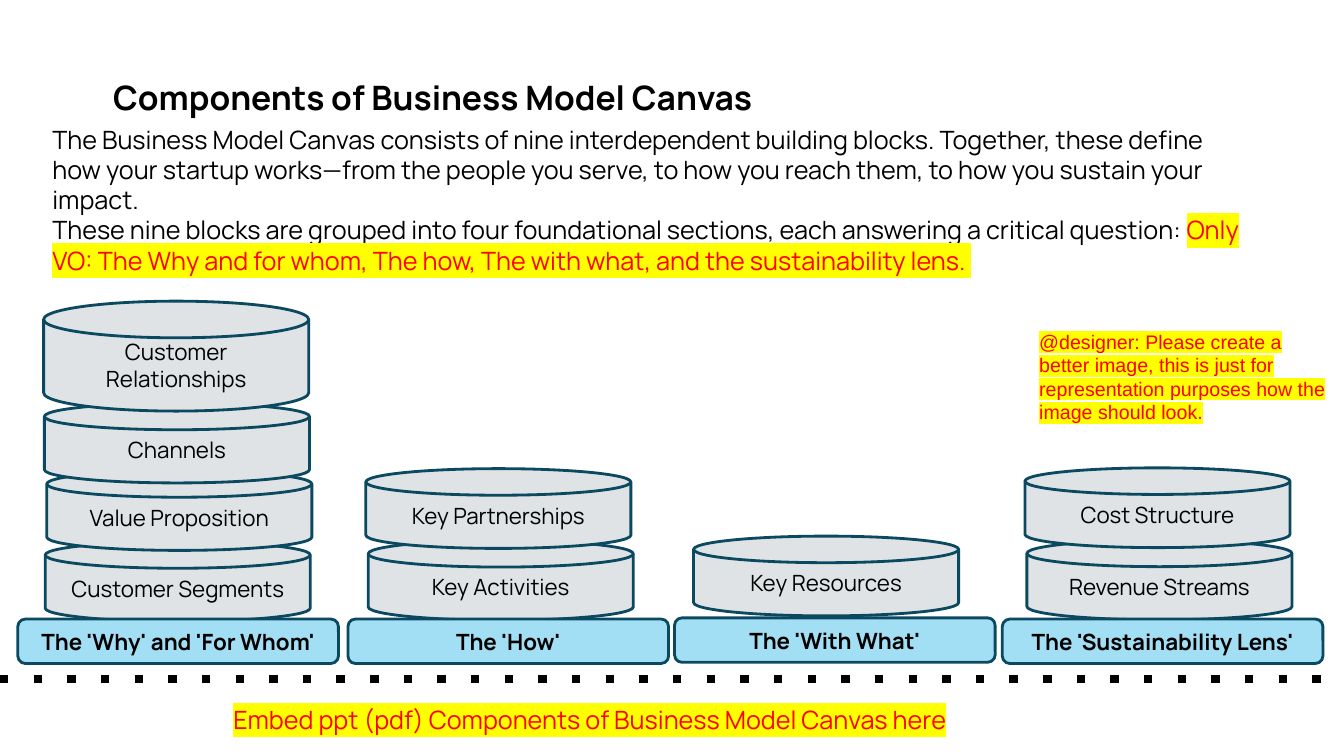
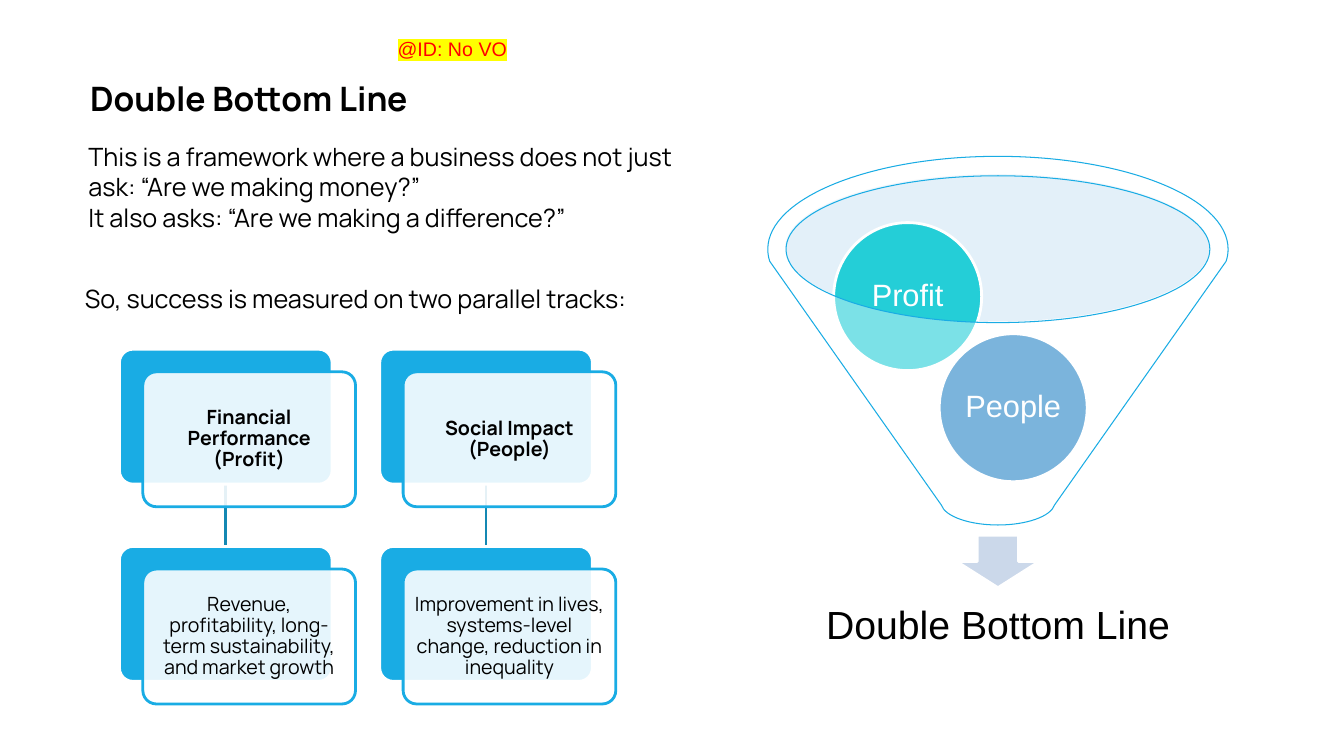
import math
from dataclasses import dataclass
from typing import Any, Optional

import lxml.etree
import pptx
import pptx.dml.color
import pptx.enum.shapes
import pptx.enum.text
import pptx.oxml.ns
import pptx.util

Cm = pptx.util.Cm
Pt = pptx.util.Pt
RGBColor = pptx.dml.color.RGBColor
Shapes = pptx.enum.shapes.MSO_SHAPE
Align = pptx.enum.text.PP_ALIGN
Anchor = pptx.enum.text.MSO_ANCHOR
qn = pptx.oxml.ns.qn

BLACK = RGBColor(0x00, 0x00, 0x00)
WHITE = RGBColor(0xFF, 0xFF, 0xFF)
NOTE_RED = RGBColor(0xFF, 0x00, 0x00)
NOTE_YELLOW = RGBColor(0xFF, 0xFF, 0x00)
DISK_GRAY = RGBColor(0xDF, 0xE3, 0xE5)
BASE_BLUE = RGBColor(0xA2, 0xDE, 0xF4)
OUTLINE_NAVY = RGBColor(0x0B, 0x49, 0x60)
CARD_BLUE = RGBColor(0x19, 0xAC, 0xE4)
LINK_BLUE = RGBColor(0x14, 0x88, 0xB3)
MOUTH_BLUE = RGBColor(0xBA, 0xDB, 0xF2)
ARROW_GRAY = RGBColor(0xCB, 0xD8, 0xEA)
PEOPLE_BLUE = RGBColor(0x23, 0x83, 0xC6)
PROFIT_TEAL = RGBColor(0x24, 0xCE, 0xD7)

MAIN_FONT = "Manrope"
NOTE_FONT = "Arial"
SLIDE_WIDTH, SLIDE_HEIGHT = 33.87, 19.05
CARD_WIDTH, CARD_HEIGHT = 5.36, 3.4
TITLE_TOP, DETAIL_TOP = 8.8, 13.77
NOTE = {"color": NOTE_RED, "highlight": NOTE_YELLOW}


@dataclass(frozen=True)
class Box:
    left: float
    top: float
    width: float
    height: float

    def lengths(self) -> tuple:
        return Cm(self.left), Cm(self.top), Cm(self.width), Cm(self.height)


@dataclass(frozen=True)
class Disk:
    text: str
    left: float
    top: float
    height: float = 2.01


@dataclass(frozen=True)
class Stack:
    title: str
    left: float
    disks: tuple
    base_top: float = 15.6


@dataclass(frozen=True)
class Track:
    left: float
    title: str
    detail: str


@dataclass(frozen=True)
class Ball:
    text: str
    left: float
    top: float
    color: RGBColor


@dataclass(frozen=True)
class Arc:
    center: tuple
    radii: tuple
    angles: tuple

    def point(self, angle: float, pull: float = 0) -> tuple:
        cosine, sine = math.cos(math.radians(angle)), math.sin(math.radians(angle))
        return (Cm(self.center[0] + self.radii[0] * (cosine - pull * sine)),
                Cm(self.center[1] + self.radii[1] * (sine + pull * cosine)))

    def curves(self) -> list:
        result = []
        for start, end in zip(self.angles, self.angles[1:]):
            pull = 4 / 3 * math.tan(math.radians(end - start) / 4)
            result.append((self.point(start, pull), self.point(end, -pull), self.point(end)))
        return result


STACKS = (
    Stack("The 'Why' and 'For Whom'", 0.45, (
        Disk("Customer Segments", 1.14, 13.65),
        Disk("Value Proposition", 1.18, 11.86),
        Disk("Channels", 1.12, 10.16),
        Disk("Customer Relationships", 1.1, 7.59, 2.77),
    )),
    Stack("The 'How'", 8.77, (
        Disk("Key Activities", 9.28, 13.62),
        Disk("Key Partnerships", 9.22, 11.81),
    )),
    Stack("The 'With What'", 17.0, (Disk("Key Resources", 17.48, 13.51),), 15.57),
    Stack("The 'Sustainability Lens'", 25.26, (
        Disk("Revenue Streams", 25.88, 13.61),
        Disk("Cost Structure", 25.83, 11.79),
    )),
)
TRACKS = (
    Track(3.01, "Financial Performance (Profit)",
          "Revenue, profitability, long-term sustainability, and market growth"),
    Track(9.57, "Social Impact (People)",
          "Improvement in lives, systems-level change, reduction in inequality"),
)
BALLS = (
    Ball("People", 23.67, 8.41, PEOPLE_BLUE),
    Ball("Profit", 21.01, 5.61, PROFIT_TEAL),
)


def add_run(paragraph: Any, text: str, *, size: float = 18, font: str = MAIN_FONT,
            color: RGBColor = BLACK, bold: bool = False,
            highlight: Optional[RGBColor] = None) -> None:
    run = paragraph.add_run()
    run.text = text
    run.font.size = Pt(size)
    run.font.name = font
    run.font.bold = bold
    run.font.color.rgb = color
    if highlight is not None:
        mark = lxml.etree.Element(qn("a:highlight"))
        lxml.etree.SubElement(mark, qn("a:srgbClr"), val=str(highlight))
        run._r.rPr.find(qn("a:solidFill")).addnext(mark)


def write_text(shape: Any, text: str, *, align: Any = Align.LEFT, anchor: Any = Anchor.TOP,
               inset: Optional[float] = None, spacing: Optional[float] = None,
               **run_format: Any) -> Any:
    frame = shape.text_frame
    frame.word_wrap = True
    frame.vertical_anchor = anchor
    if inset is not None:
        frame.margin_left = frame.margin_right = Cm(inset)
        frame.margin_top = frame.margin_bottom = Cm(inset)
    for index, line in enumerate(text.split("\n")):
        paragraph = frame.add_paragraph() if index else frame.paragraphs[0]
        paragraph.alignment = align
        if spacing is not None:
            paragraph.line_spacing = spacing
        add_run(paragraph, line, **run_format)
    return shape


def add_text(slide: Any, box: Box, text: str, **text_format: Any) -> Any:
    return write_text(slide.shapes.add_textbox(*box.lengths()), text, **text_format)


def add_title(slide: Any, box: Box, text: str) -> None:
    add_text(slide, box, text, size=24, bold=True)


def paint(shape: Any, fill: Optional[RGBColor], line: Optional[RGBColor],
          line_width: float = 2, opacity: int = 100) -> None:
    shape.shadow.inherit = False
    if fill is None:
        shape.fill.background()
    else:
        shape.fill.solid()
        shape.fill.fore_color.rgb = fill
    if opacity < 100:
        color = shape._element.spPr.find(qn("a:solidFill")).find(qn("a:srgbClr"))
        lxml.etree.SubElement(color, qn("a:alpha"), val=str(opacity * 1000))
    if line is None:
        shape.line.fill.background()
    else:
        shape.line.color.rgb = line
        shape.line.width = Pt(line_width)


def add_block(slide: Any, kind: Any, box: Box, fill: RGBColor, line: Optional[RGBColor], *,
              corner: Optional[float] = None, opacity: int = 100) -> Any:
    shape = slide.shapes.add_shape(kind, *box.lengths())
    if corner is not None:
        shape.adjustments[0] = corner
    paint(shape, fill, line, opacity=opacity)
    return shape


def add_dotted_rule(slide: Any, top: float) -> None:
    connector = slide.shapes.add_connector(
        pptx.enum.shapes.MSO_CONNECTOR.STRAIGHT, Cm(0), Cm(top), Cm(SLIDE_WIDTH), Cm(top))
    connector.line.color.rgb = BLACK
    connector.line.width = Pt(6)
    properties = connector._element.spPr
    lxml.etree.SubElement(properties.find(qn("a:ln")), qn("a:prstDash"), val="dot")
    lxml.etree.SubElement(properties, qn("a:effectLst"))


def bend(shape: Any, segments: list) -> None:
    lines = list(shape._element.iter(qn("a:lnTo")))
    for line, segment in zip(lines, segments):
        if len(segment) == 3:
            curve = lxml.etree.Element(qn("a:cubicBezTo"))
            for x, y in segment:
                lxml.etree.SubElement(curve, qn("a:pt"), x=str(x - shape.left),
                                      y=str(y - shape.top))
            line.getparent().replace(line, curve)


def add_funnel(slide: Any) -> None:
    middle, rim_y = 25.15, 6.28
    rim = Arc((middle, rim_y), (5.8, 2.34), (172.5, 180, 270, 360, 367.5))
    spout = Arc((middle, 12.65), (1.44, 0.58), (7.5, 90, 172.5))
    mouth = Arc((middle, rim_y), (5.34, 1.85), (180, 90, 0, -90, -180))
    outline = rim.curves() + [(spout.point(7.5),)] + spout.curves()
    builder = slide.shapes.build_freeform(*rim.point(172.5), scale=1.0)
    builder.add_line_segments([segment[-1] for segment in outline], close=True)
    builder.move_to(*mouth.point(180))
    builder.add_line_segments([segment[-1] for segment in mouth.curves()], close=True)
    funnel = builder.convert_to_shape()
    bend(funnel, outline + mouth.curves())
    paint(funnel, WHITE, CARD_BLUE, line_width=0.75, opacity=40)


def add_link(slide: Any, track: Track) -> None:
    middle, half = Cm(track.left + CARD_WIDTH / 2), Cm(0.13)
    builder = slide.shapes.build_freeform(middle, Cm(TITLE_TOP + CARD_HEIGHT), scale=1.0)
    builder.add_line_segments([(middle, Cm(DETAIL_TOP))], close=False)
    link = builder.convert_to_shape()
    link.left, link.width = middle - half, 2 * half
    for outline in link._element.iter(qn("a:path")):
        outline.set("w", str(2 * half))
        for point in outline.iter(qn("a:pt")):
            point.set("x", str(half))
    paint(link, None, LINK_BLUE)


def add_disk(slide: Any, disk: Disk, label: dict) -> None:
    shape = add_block(slide, Shapes.FLOWCHART_MAGNETIC_DISK,
                      Box(disk.left, disk.top, 6.68, disk.height), DISK_GRAY, OUTLINE_NAVY)
    write_text(shape, disk.text, **label)


def add_stack(slide: Any, stack: Stack) -> None:
    label = {"size": 16, "align": Align.CENTER, "anchor": Anchor.MIDDLE}
    add_disk(slide, stack.disks[0], label)
    base = add_block(slide, Shapes.ROUNDED_RECTANGLE, Box(stack.left, stack.base_top, 8.08, 1.12),
                     BASE_BLUE, OUTLINE_NAVY, corner=0.167)
    write_text(base, stack.title, bold=True, **label)
    for disk in stack.disks[1:]:
        add_disk(slide, disk, label)


def add_track(slide: Any, track: Track) -> None:
    for top, text, bold in ((TITLE_TOP, track.title, True), (DETAIL_TOP, track.detail, False)):
        add_block(slide, Shapes.ROUNDED_RECTANGLE, Box(track.left, top, CARD_WIDTH, CARD_HEIGHT),
                  CARD_BLUE, WHITE, corner=0.1)
        card = add_block(slide, Shapes.ROUNDED_RECTANGLE,
                         Box(track.left + 0.59, top + 0.57, CARD_WIDTH, CARD_HEIGHT),
                         WHITE, CARD_BLUE, corner=0.1, opacity=89)
        write_text(card, text, size=14, bold=bold, align=Align.CENTER,
                   anchor=Anchor.MIDDLE, inset=0.15, spacing=0.9)


def build_components(slide: Any) -> None:
    add_title(slide, Box(2.6, 1.82, 28.14, 1.28), "Components of Business Model Canvas")
    introduction = add_text(
        slide, Box(1.07, 3.0, 30.45, 4.11),
        "The Business Model Canvas consists of nine interdependent building blocks. Together, "
        "these define how your startup works—from the people you serve, to how you reach them, "
        "to how you sustain your impact.\n"
        "These nine blocks are grouped into four foundational sections, each answering "
        "a critical question: ")
    add_run(introduction.text_frame.paragraphs[-1],
            "Only VO: The Why and for whom, The how, The with what, "
            "and the sustainability lens. ", **NOTE)
    add_text(slide, Box(5.63, 17.62, 20.88, 1.03),
             "Embed ppt (pdf) Components of Business Model Canvas here", **NOTE)
    add_dotted_rule(slide, 17.11)
    for stack in STACKS:
        add_stack(slide, stack)
    add_text(slide, Box(25.94, 8.18, 7.92, 2.64),
             "@designer: Please create a better image, this is just for representation "
             "purposes how the image should look.", size=14, font=NOTE_FONT, **NOTE)


def build_double_bottom_line(slide: Any) -> None:
    add_title(slide, Box(2.02, 1.85, 16.92, 1.28), "Double Bottom Line")
    add_text(slide, Box(1.98, 3.44, 16.21, 2.57),
             "This is a framework where a business does not just ask: “Are we making money?”\n"
             "It also asks: “Are we making a difference?”")
    for track in reversed(TRACKS):
        add_link(slide, track)
    for track in TRACKS:
        add_track(slide, track)
    add_text(slide, Box(1.89, 7.01, 16.97, 1.03),
             "So, success is measured on two parallel tracks:")
    add_block(slide, Shapes.OVAL, Box(19.79, 4.39, 10.69, 3.71), MOUTH_BLUE, None, opacity=40)
    add_block(slide, Shapes.DOWN_ARROW, Box(24.11, 13.49, 2.08, 1.32), ARROW_GRAY, WHITE)
    centered = {"font": NOTE_FONT, "align": Align.CENTER, "anchor": Anchor.MIDDLE,
                "spacing": 0.9}
    add_text(slide, Box(20.17, 14.55, 9.96, 2.49), "Double Bottom Line",
             size=28, inset=0.56, **centered)
    for ball in BALLS:
        shape = add_block(slide, Shapes.OVAL, Box(ball.left, ball.top, 3.73, 3.73),
                          ball.color, WHITE)
        write_text(shape, ball.text, size=22, color=WHITE, inset=0.08, **centered)
    add_funnel(slide)
    add_text(slide, Box(9.77, 0.81, 5.05, 0.86), "@ID: No VO",
             size=14, font=NOTE_FONT, **NOTE)


def main() -> None:
    presentation = pptx.Presentation()
    presentation.slide_width = Cm(SLIDE_WIDTH)
    presentation.slide_height = Cm(SLIDE_HEIGHT)
    for build in (build_components, build_double_bottom_line):
        build(presentation.slides.add_slide(presentation.slide_layouts[6]))
    presentation.save("out.pptx")


if __name__ == "__main__":
    main()
